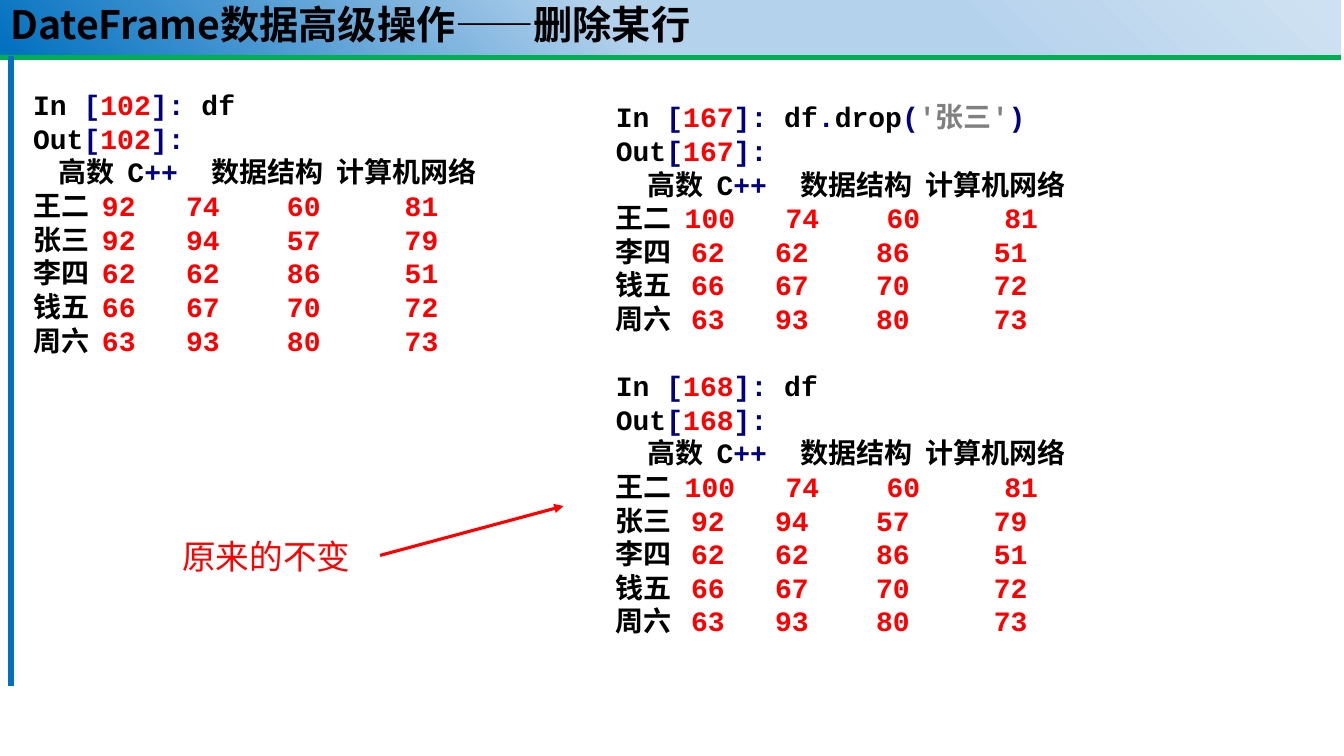
from lxml import etree
from pptx import Presentation
from pptx.dml.color import RGBColor
from pptx.enum.shapes import MSO_CONNECTOR
from pptx.enum.text import MSO_ANCHOR, MSO_AUTO_SIZE, PP_ALIGN
from pptx.oxml import parse_xml
from pptx.oxml.ns import nsdecls, qn
from pptx.util import Inches, Pt

COLORS = {
    "black": "000000", "navy": "000080", "red": "FF0000", "gray": "808080",
    "green": "00B050", "blue": "0070C0",
}
BANNER = [(1, "CEE1F2"), (29, "B5D2EC"), (53, "B5D2EC"), (100, "0070C0")]
MONO, SANS = "Courier New", "Noto Sans CJK SC"
LINE = Pt(24)

WANG = ("王二", 100, 74, 60, 81)
ZHANG = ("张三", 92, 94, 57, 79)
OTHERS = [
    ("李四", 62, 62, 86, 51),
    ("钱五", 66, 67, 70, 72),
    ("周六", 63, 93, 80, 73),
]


def color(name):
    return RGBColor.from_string(COLORS[name])


def add_run(para, text, tint, size=20, face=MONO, bold=True):
    run = para.add_run()
    run.text = text
    font = run.font
    font.size, font.name, font.bold = Pt(size), face, bold
    font.color.rgb = color(tint)
    east = etree.SubElement(run._r.get_or_add_rPr(), qn("a:ea"))
    east.set("typeface", SANS)


def add_box(slide, left, top, width, height):
    box = slide.shapes.add_textbox(
        Inches(left), Inches(top), Inches(width), Inches(height))
    frame = box.text_frame
    frame.word_wrap = True
    frame.auto_size = MSO_AUTO_SIZE.SHAPE_TO_FIT_TEXT
    return frame


def add_line(slide, start, end, tint, width, arrow=False):
    points = [Inches(value) for value in (*start, *end)]
    line = slide.shapes.add_connector(MSO_CONNECTOR.STRAIGHT, *points)
    line.line.color.rgb = color(tint)
    line.line.width = Pt(width)
    if arrow:
        tail = etree.SubElement(line.line._get_or_add_ln(), qn("a:tailEnd"))
        tail.set("type", "triangle")
    etree.SubElement(line._element.spPr, qn("a:effectLst"))


def fill_title(slide, text):
    title = slide.shapes.title
    title.left, title.top = Inches(0), Inches(0)
    title.width, title.height = Inches(13.3), Inches(0.54)
    stops = "".join(
        f'<a:gs pos="{pos * 1000}"><a:srgbClr val="{tint}"/></a:gs>'
        for pos, tint in BANNER)
    title._element.spPr.append(parse_xml(
        f'<a:gradFill {nsdecls("a")} rotWithShape="1"><a:gsLst>{stops}</a:gsLst>'
        '<a:lin ang="8100000" scaled="1"/></a:gradFill>'))
    frame = title.text_frame
    frame.vertical_anchor = MSO_ANCHOR.MIDDLE
    frame.auto_size = MSO_AUTO_SIZE.NONE
    para = frame.paragraphs[0]
    para.alignment = PP_ALIGN.LEFT
    para.line_spacing = 0.9
    add_run(para, text, "black", 28, SANS)
    slide.shapes._spTree.append(title._element)


def cell_lines(number, call, rows):
    """Give the runs of each line of one console input and its output."""
    digits = max(len(str(row[1])) for row in rows)
    mark = [("[", "navy"), (str(number), "red"), ("]:", "navy")]
    lines = [
        [("In ", "black"), *mark, (" df", "black"), *call],
        [("Out", "black"), *mark],
        [(" " * (digits + 2) + "高数  C", "black"), ("++  ", "navy"),
         ("数据结构  计算机网络", "black")],
    ]
    for name, math, cpp, data, net in rows:
        gap = " " * (2 + digits - len(str(math)))
        lines.append([(name + gap, "black"),
                      (f"{math}   {cpp}    {data}     {net}", "red")])
    return lines


def add_console(slide, place, cells):
    frame = add_box(slide, *place)
    frame.margin_top = Inches(0.08)
    para = None
    for cell in cells:
        for index, line in enumerate(cell_lines(*cell)):
            first = para is None
            para = frame.paragraphs[0] if first else frame.add_paragraph()
            para.line_spacing = LINE
            if index == 0 and not first:
                para.space_before = LINE
            for text, tint in line:
                add_run(para, text, tint)


def main():
    deck = Presentation()
    deck.slide_width, deck.slide_height = Inches(13.33), Inches(7.5)
    slide = deck.slides.add_slide(deck.slide_layouts[5])

    add_line(slide, (0, 0.56), (13.3, 0.56), "green", 5.25)
    add_line(slide, (0.11, 0.56), (0.11, 6.81), "blue", 3.75)
    fill_title(slide, "DateFrame数据高级操作——删除某行")

    drop = [(".", "navy"), ("drop", "black"), ("(", "navy"),
            ("'张三'", "gray"), (")", "navy")]
    add_console(slide, (6.01, 0.91, 6.74, 5.49), [
        (167, drop, [WANG, *OTHERS]),
        (168, [], [WANG, ZHANG, *OTHERS]),
    ])
    before = ("王二", 92, *WANG[2:])
    add_console(slide, (0.23, 0.79, 5.56, 2.79), [
        (102, [], [before, ZHANG, *OTHERS]),
    ])

    add_line(slide, (3.77, 5.51), (5.59, 5.02), "red", 2.25, arrow=True)
    note = add_box(slide, 1.71, 5.27, 2.06, 0.5)
    add_run(note.paragraphs[0], "原来的不变", "red", 24, SANS, False)
    deck.save("out.pptx")


if __name__ == "__main__":
    main()
